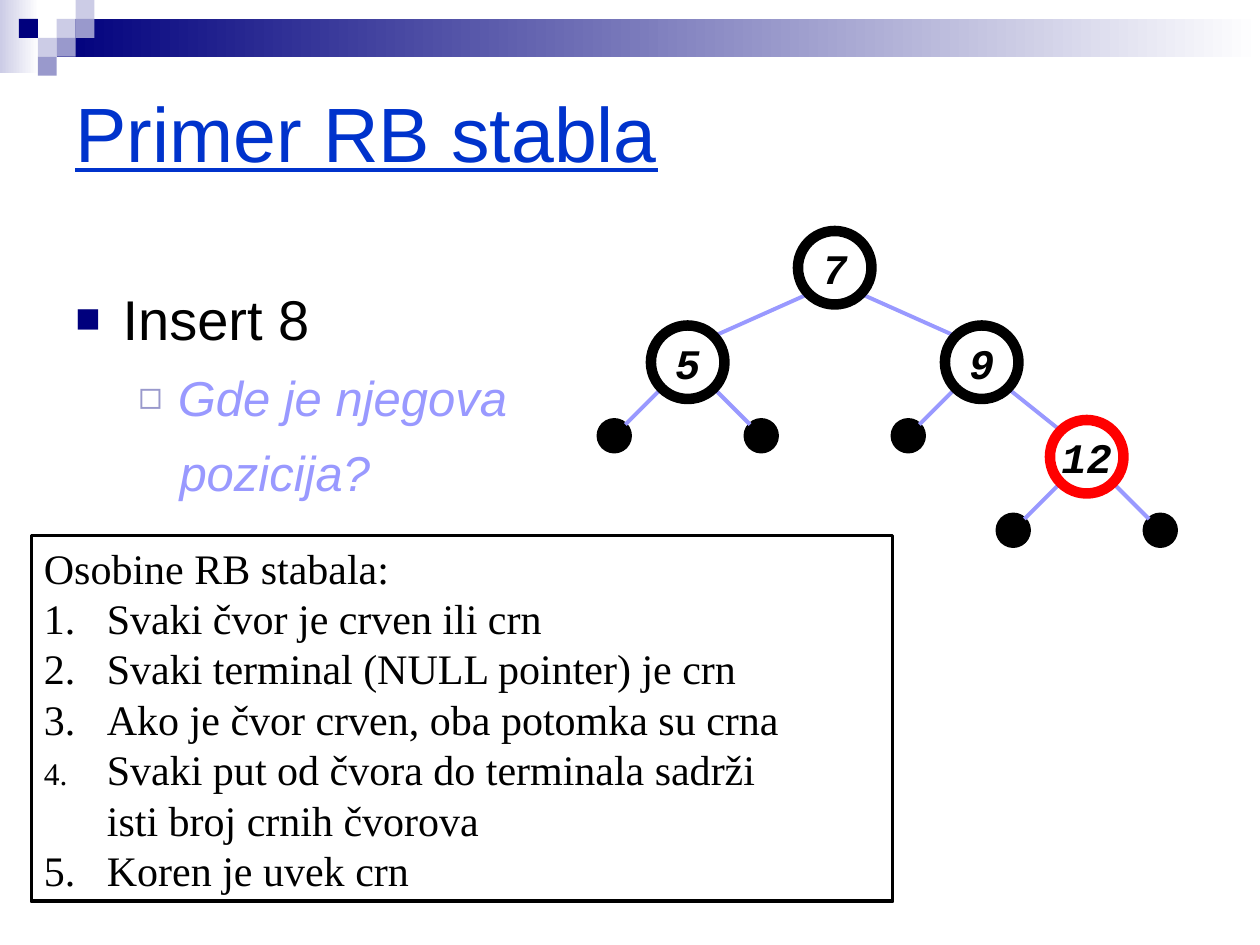
from lxml import etree
from pptx import Presentation
from pptx import util as u
from pptx.dml import color
from pptx.enum import shapes, text
from pptx.oxml import ns

Pt = u.Pt
COLORS = {
    "navy": "00007D", "pale": "CCCCE6", "mid": "9999CC", "edge": "9999FF",
    "title": "0033CC", "black": "000000", "white": "FFFFFF", "red": "FF0000",
}
TILE = 10.8
TILES = [  # column, row, colour
    (3, 1, "pale"), (4, 0, "pale"), (4, 1, "mid"), (2, 2, "pale"),
    (1, 1, "navy"), (3, 2, "mid"), (2, 3, "mid"),
]
NODE, LEAF = 42, 18  # diameters
NODES = {  # centre x, centre y, ring colour
    "7": (477, 153, "black"), "5": (393, 207, "black"),
    "9": (561, 207, "black"), "12": (621, 261, "red"),
}
BRANCHES = [("7", "5"), ("7", "9"), ("9", "12")]
LEAVES = [("5", -1), ("5", 1), ("9", -1), ("12", -1), ("12", 1)]
PROPERTIES = [
    "Svaki čvor je crven ili crn",
    "Svaki terminal (NULL pointer) je crn",
    "Ako je čvor crven, oba potomka su crna",
    "Svaki put od čvora do terminala sadrži\visti broj crnih čvorova",
    "Koren je uvek crn",
]


def rgb(name):
    return color.RGBColor.from_string(COLORS[name])


def add_shape(s, kind, x, y, w, h, fill=None, line=None, width=2.25):
    sp = s.shapes.add_shape(kind, Pt(x), Pt(y), Pt(w), Pt(h))
    sp.shadow.inherit = False
    if fill:
        sp.fill.solid()
        sp.fill.fore_color.rgb = rgb(fill)
    else:
        sp.fill.background()
    if line:
        sp.line.color.rgb = rgb(line)
        sp.line.width = Pt(width)
    else:
        sp.line.fill.background()
    return sp


def add_gradient(s, x, y, w, h, start):
    sp = add_shape(s, shapes.MSO_SHAPE.RECTANGLE, x, y, w, h)
    sp.fill.gradient()
    sp.fill.gradient_angle = 0
    for stop, name, pos in zip(sp.fill.gradient_stops, (start, "white"), (0, 1)):
        stop.color.rgb = rgb(name)
        stop.position = pos


def add_circle(s, x, y, d, fill, line, width=2.25):
    return add_shape(s, shapes.MSO_SHAPE.OVAL, x - d / 2, y - d / 2, d, d,
                     fill, line, width)


def add_edge(s, parent, child, child_size):
    """Join the facing diagonal points of a parent and a child circle."""
    side = 1 if child[0] > parent[0] else -1
    a, b = NODE / 2 * 0.71, child_size / 2 * 0.71
    c = s.shapes.add_connector(
        shapes.MSO_CONNECTOR.STRAIGHT,
        Pt(parent[0] + side * a), Pt(parent[1] + a),
        Pt(child[0] - side * b), Pt(child[1] - b))
    c.line.color.rgb = rgb("edge")
    c.line.width = Pt(2.25)
    etree.SubElement(c._element.spPr, ns.qn("a:effectLst"))


def add_textbox(s, x, y, w, h):
    tf = s.shapes.add_textbox(Pt(x), Pt(y), Pt(w), Pt(h)).text_frame
    tf.word_wrap = True
    return tf


def style(p, font, size, name, **flags):
    for r in p.runs:
        r.font.name, r.font.size = font, Pt(size)
        r.font.color.rgb = rgb(name)
        for flag, value in flags.items():
            setattr(r.font, flag, value)


def set_indent(p, left, first):
    pPr = p._p.get_or_add_pPr()
    pPr.set("marL", str(Pt(left)))
    pPr.set("indent", str(Pt(first)))


def add_bullet(p, name, percent, char=None):
    """Add a character bullet, or a number when no character is given."""
    pPr = p._p.get_or_add_pPr()
    clr = etree.SubElement(pPr, ns.qn("a:buClr"))
    etree.SubElement(clr, ns.qn("a:srgbClr"), val=COLORS[name])
    etree.SubElement(pPr, ns.qn("a:buSzPct"), val=str(percent * 1000))
    if char:
        etree.SubElement(pPr, ns.qn("a:buFont"), typeface="Arial")
        etree.SubElement(pPr, ns.qn("a:buChar"), char=char)
    else:
        etree.SubElement(pPr, ns.qn("a:buFont"), typeface="Times New Roman")
        etree.SubElement(pPr, ns.qn("a:buAutoNum"), type="arabicPeriod")


def add_header(s):
    add_gradient(s, 0, 0, 22.3, 41.8, "pale")
    add_gradient(s, 32.4, TILE, 687.6, 21.6, "navy")
    for col, row, name in TILES:
        add_shape(s, shapes.MSO_SHAPE.RECTANGLE, col * TILE, row * TILE,
                  TILE, TILE, name)


def add_title(s):
    tf = add_textbox(s, 36, 36, 648, 78)
    tf.vertical_anchor = text.MSO_ANCHOR.MIDDLE
    tf.text = "Primer RB stabla"
    style(tf.paragraphs[0], "Arial", 44, "title", underline=True)


def add_question(s):
    tf = add_textbox(s, 36, 159, 300, 130)
    tf.text = "Insert 8\nGde je njegova\npozicija?"
    heading, *question = tf.paragraphs
    set_indent(heading, 27, -27)
    add_bullet(heading, "navy", 75, "■")
    style(heading, "Arial", 32, "black")
    for p, left, first in zip(question, (58.5, 59.5), (-22.5, 0)):
        set_indent(p, left, first)
        p.space_before = Pt(9)
        style(p, "Arial", 28, "edge", italic=True)
    add_bullet(question[0], "mid", 80, "◻")


def add_tree(s):
    # Leaves and their edges
    for key, side in LEAVES:
        x, y, _ = NODES[key]
        leaf = (x + side * NODE, y + NODE)
        add_circle(s, *leaf, LEAF, "black", "black")
        add_edge(s, NODES[key], leaf, LEAF)
    # Edges between nodes
    for parent, child in BRANCHES:
        add_edge(s, NODES[parent], NODES[child], NODE)
    # Nodes with their keys
    for key, (x, y, ring) in NODES.items():
        tf = add_circle(s, x, y, NODE, "white", ring, 6).text_frame
        tf.word_wrap = False
        tf.vertical_anchor = text.MSO_ANCHOR.MIDDLE
        tf.text = key
        p = tf.paragraphs[0]
        p.alignment = text.PP_ALIGN.CENTER
        style(p, "Courier New", 24, "black", bold=True, italic=True)


def add_properties(s):
    sp = add_shape(s, shapes.MSO_SHAPE.RECTANGLE, 18, 306, 492, 209,
                   line="black")
    tf = sp.text_frame
    tf.word_wrap = True
    tf.vertical_anchor = text.MSO_ANCHOR.MIDDLE
    tf.text = "Osobine RB stabala:"
    for number, line in enumerate(PROPERTIES, 1):
        p = tf.add_paragraph()
        p.text = line
        set_indent(p, 36, -36)
        add_bullet(p, "black", 75 if number == 4 else 100)
    for p in tf.paragraphs:
        p.alignment = text.PP_ALIGN.LEFT
        style(p, "Times New Roman", 24, "black")


def main():
    prs = Presentation()
    prs.slide_width, prs.slide_height = Pt(720), Pt(540)
    s = prs.slides.add_slide(prs.slide_layouts[6])
    add_header(s)
    add_question(s)
    add_tree(s)
    add_title(s)
    add_properties(s)
    prs.save("out.pptx")


if __name__ == "__main__":
    main()
